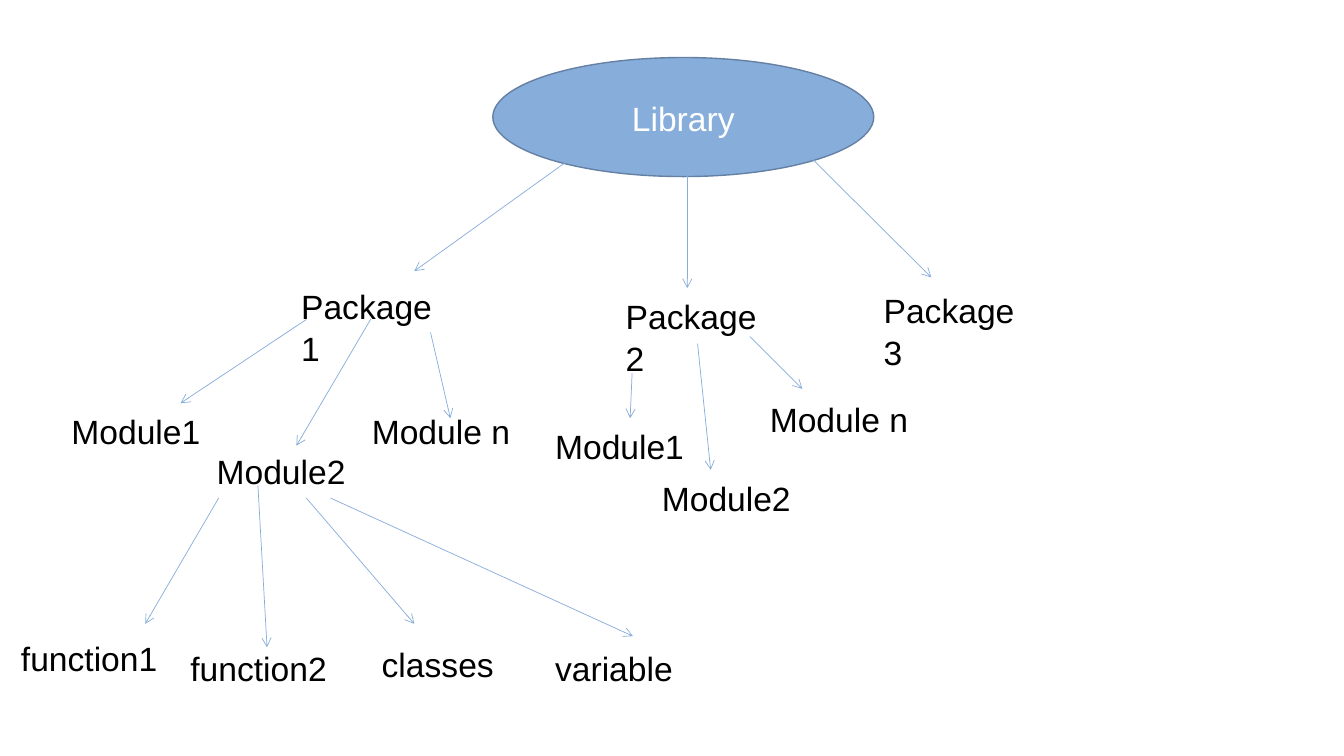
from lxml import etree
from pptx import Presentation
from pptx.dml.color import RGBColor
from pptx.enum.shapes import MSO_CONNECTOR as CONN, MSO_SHAPE as SHAPE
from pptx.enum.text import MSO_ANCHOR as ANCHOR, PP_ALIGN as ALIGN
from pptx.oxml.ns import qn
from pptx.util import Cm, Pt

BLUE = RGBColor(0x87, 0xAD, 0xDB)
OUTLINE = RGBColor(0x64, 0x80, 0xA2)
WHITE = RGBColor(0xFF, 0xFF, 0xFF)
BLACK = RGBColor(0, 0, 0)
LABEL_W = 4.24

# Each node: label, offset from its parent, arrow start, arrow end, children.
# All positions are in centimetres from the parent's top left corner.
MEMBERS = [
    ("function1", (-4.93, 4.72), (0.3, 1.37), (-1.55, 4.54), []),
    ("function2", (-0.66, 4.95), (1.29, 1.06), (1.52, 5.13), []),
    ("classes", (4.16, 4.87), (2.51, 1.37), (5.23, 4.54), []),
    ("variable", (8.53, 4.95), (3.12, 1.37), (10.74, 4.85), []),
]
PACKAGE1_MODULES = [
    ("Module1", (-5.79, 3.15), (0.38, 1.04), (-2.79, 3.15), []),
    ("Module2", (-2.13, 4.17), (2.01, 1.02), (0.13, 4.22), MEMBERS),
    ("Module n", (1.78, 3.15), (3.51, 1.37), (4.01, 3.53), []),
]
PACKAGE2_MODULES = [
    ("Module1", (-1.78, 3.28), (0.41, 2.14), (0.36, 3.28), []),
    ("Module2", (0.91, 4.6), (2.06, 1.4), (2.39, 4.58), []),
    ("Module n", (3.63, 2.6), (3.38, 1.22), (4.7, 2.54), []),
]
PACKAGES = [
    ("Package1", (-5.08, 5.56), (3.1, 1.73), (-1.98, 5.38), PACKAGE1_MODULES),
    ("Package2", (3.1, 5.81), (4.9, 2.16), (4.9, 5.81), PACKAGE2_MODULES),
    ("Package 3", (9.6, 5.66), (7.37, 1.88), (11.05, 5.54), []),
]


def write(sp, text, color=BLACK, size=24, align=ALIGN.LEFT,
          anchor=ANCHOR.TOP, spacing=1.06):
    """Put one formatted paragraph into a shape."""
    tf = sp.text_frame
    tf.word_wrap = True
    tf.vertical_anchor = anchor
    p = tf.paragraphs[0]
    p.alignment = align
    p.line_spacing = spacing
    r = p.add_run()
    r.text = text
    r.font.name = "Arial"
    r.font.size = Pt(size)
    r.font.color.rgb = color


def add_arrow(s, x1, y1, x2, y2):
    """Draw a thin line with an open arrowhead at its end."""
    line = s.shapes.add_connector(CONN.STRAIGHT, Cm(x1), Cm(y1), Cm(x2), Cm(y2))
    line.line.color.rgb = BLUE
    line.line.width = Pt(0.5)
    etree.SubElement(line.line._get_or_add_ln(), qn("a:tailEnd"), type="arrow")
    etree.SubElement(line._element.spPr, qn("a:effectLst"))


def add_children(s, x, y, nodes):
    """Draw the nodes below a parent at x, y, and their own children."""
    for label, (dx, dy), (x1, y1), (x2, y2), children in nodes:
        add_arrow(s, x + x1, y + y1, x + x2, y + y2)
        height = 2.3 if label.startswith("Package") else 1.28
        sp = s.shapes.add_textbox(Cm(x + dx), Cm(y + dy), Cm(LABEL_W), Cm(height))
        write(sp, label)
        add_children(s, x + dx, y + dy, children)


def add_library(s, x, y, w, h):
    """Draw the library ellipse in its box, with the tree below it."""
    sp = s.shapes.add_shape(SHAPE.OVAL, Cm(x), Cm(y), Cm(w), Cm(h))
    sp.shadow.inherit = False
    sp.fill.solid()
    sp.fill.fore_color.rgb = BLUE
    sp.line.color.rgb = OUTLINE
    sp.line.width = Pt(1)
    write(sp, "Library", color=WHITE, align=ALIGN.CENTER, anchor=ANCHOR.MIDDLE)
    add_children(s, x, y, PACKAGES)


prs = Presentation()
prs.slide_width, prs.slide_height = Cm(33.87), Cm(19.05)
slide = prs.slides.add_slide(prs.slide_layouts[6])
add_library(slide, 12.42, 1.45, 9.6, 3)
prs.save("out.pptx")
